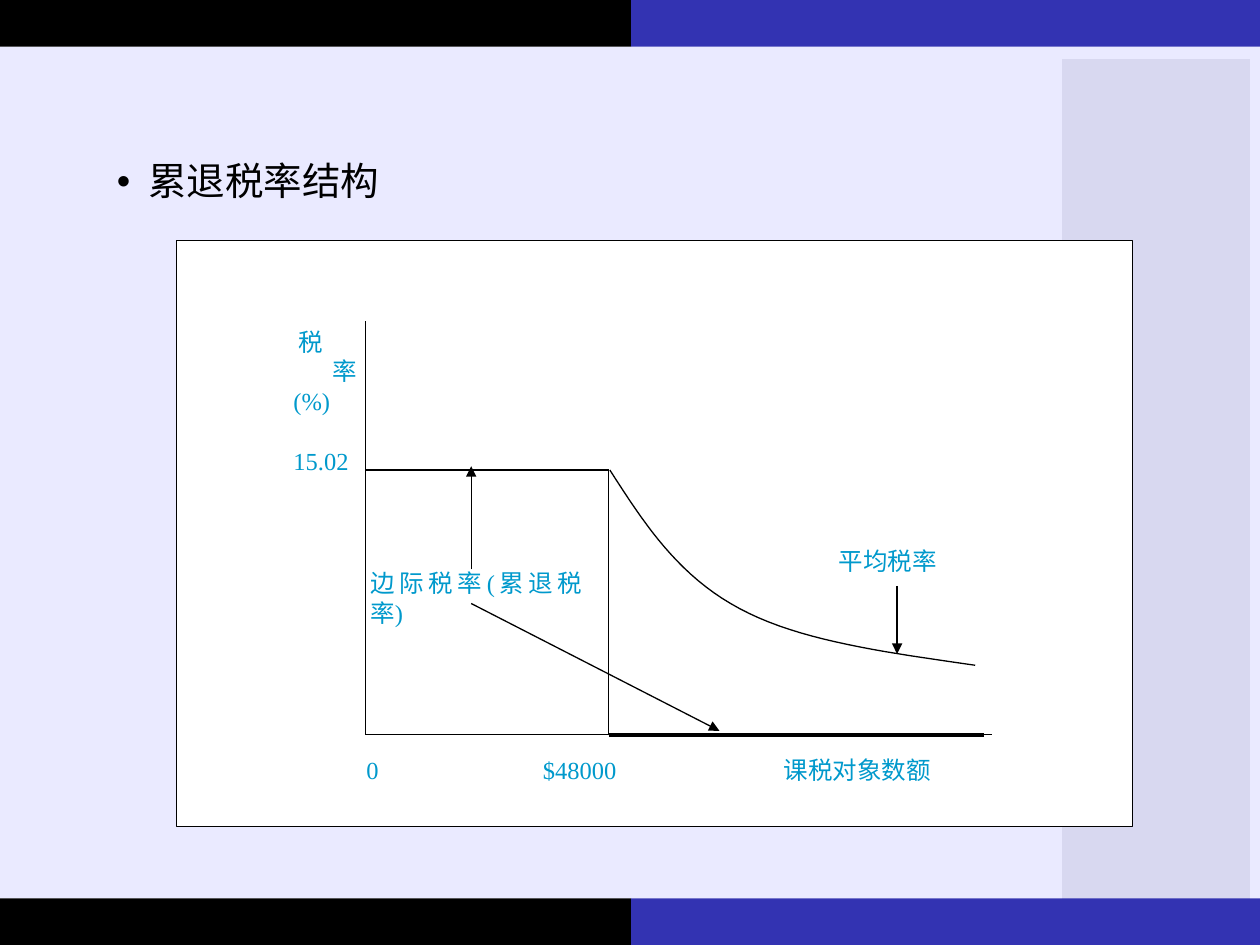
from pptx import Presentation, util as u
from pptx.dml.color import RGBColor
from pptx.enum import shapes, text
from pptx.oxml.ns import qn
from lxml import etree

THEME = {
    "black": "000000", "blue": "3333B2", "pale": "EAEAFF", "shade": "D8D8F0",
    "white": "FFFFFF", "label": "0099CC",
    "latin": "Times New Roman", "cjk": "Noto Sans CJK SC",
    "title_pt": 22, "label_pt": 14, "pitch_pt": 17, "thin": 0.75, "thick": 2.25,
}
WIDTH, HEIGHT = 10, 7.5
BAND, SPLIT = 0.37, 5.01
ORIGIN_X, BASE_Y = 2.9, 5.83
KINK_X, RATE_Y = 4.83, 3.73

PANELS = [
    (0, BAND, WIDTH, HEIGHT - 2 * BAND, "pale", None),
    (8.43, 0.47, 1.49, 6.74, "shade", None),
    *[(x, y, w, BAND, colour, None)
      for y in (0, HEIGHT - BAND)
      for x, w, colour in ((0, SPLIT, "black"), (SPLIT, WIDTH - SPLIT, "blue"))],
    (1.4, 1.91, 7.59, 4.65, "white", "black"),
]
LINES = [
    ((ORIGIN_X, BASE_Y), (7.87, BASE_Y), "thin", False),
    ((ORIGIN_X, BASE_Y), (ORIGIN_X, 2.55), "thin", False),
    ((ORIGIN_X, RATE_Y), (KINK_X, RATE_Y), "thin", False),
    ((KINK_X, RATE_Y), (KINK_X, BASE_Y), "thin", False),
    ((KINK_X, BASE_Y), (7.81, BASE_Y), "thick", False),
    ((3.74, 4.52), (3.74, 3.7), "thin", True),
    ((3.74, 4.79), (5.71, 5.8), "thin", True),
    ((7.12, 4.65), (7.12, 5.19), "thin", True),
]
AVERAGE_RATE = [
    ((4.84, 3.73), (5.11, 4.15), (5.38, 4.57), (5.87, 4.83)),
    ((5.87, 4.83), (6.35, 5.09), (7.05, 5.18), (7.74, 5.28)),
]
TITLE = "累退税率结构"
RATE_AXIS = [("税", 0.04, 0), ("率", 0.31, 0), ("(%)", 0, 0), ("15.02", 0, 17)]
LABELS = [
    ("0", 2.81, 5.94, 0.4), ("$48000", 4.21, 5.94, 0.9),
    ("课税对象数额", 6.12, 5.94, 1.5), ("平均税率", 6.56, 4.28, 1.1),
]
MARGINAL = ("边际税率(累退税率)", 2.84, 4.46, 1.88)


def paint(color_format, name):
    color_format.rgb = RGBColor.from_string(THEME[name])


def add_panel(slide, x, y, w, h, fill, border):
    panel = slide.shapes.add_shape(
        shapes.MSO_SHAPE.RECTANGLE, *map(u.Inches, (x, y, w, h)))
    panel.shadow.inherit = False
    panel.fill.solid()
    paint(panel.fill.fore_color, fill)
    if border:
        paint(panel.line.color, border)
        panel.line.width = u.Pt(THEME["thin"])
    else:
        panel.line.fill.background()


def add_line(slide, start, end, weight, arrow):
    line = slide.shapes.add_connector(
        shapes.MSO_CONNECTOR.STRAIGHT, *map(u.Inches, start + end))
    paint(line.line.color, "black")
    line.line.width = u.Pt(THEME[weight])
    props = line._element.spPr
    if arrow:
        etree.SubElement(props.find(qn("a:ln")), qn("a:tailEnd"), type="triangle")
    etree.SubElement(props, qn("a:effectLst"))


def bezier(points, t):
    weights = ((1 - t) ** 3, 3 * t * (1 - t) ** 2, 3 * t * t * (1 - t), t ** 3)
    return tuple(u.Inches(sum(k * p[axis] for k, p in zip(weights, points)))
                 for axis in (0, 1))


def add_curve(slide, segments, steps=20):
    start = bezier(segments[0], 0)
    points = [bezier(s, i / steps) for s in segments for i in range(1, steps + 1)]
    builder = slide.shapes.build_freeform(*start)
    builder.add_line_segments(points, close=False)
    curve = builder.convert_to_shape()
    curve.shadow.inherit = False
    curve.fill.background()
    paint(curve.line.color, "black")
    curve.line.width = u.Pt(THEME["thin"])


def add_text(slide, paragraphs, x, y, w, h=0.33, size="label_pt", color="label",
             latin="latin", spacing=u.Pt(THEME["pitch_pt"]), wrap=False,
             align=text.PP_ALIGN.LEFT, bullet=False):
    frame = slide.shapes.add_textbox(*map(u.Inches, (x, y, w, h))).text_frame
    frame.word_wrap = wrap
    for i, (words, indent, before) in enumerate(paragraphs):
        para = frame.add_paragraph() if i else frame.paragraphs[0]
        para.alignment, para.line_spacing = align, spacing
        para.space_before = u.Pt(before)
        props = para._p.get_or_add_pPr()
        props.set("marL", str(u.Inches(indent)))
        if bullet:
            props.set("indent", str(-u.Inches(indent)))
            etree.SubElement(props, qn("a:buFont"), typeface="Arial")
            etree.SubElement(props, qn("a:buChar"), char="•")
        run = para.add_run()
        run.text = words
        run.font.size, run.font.name = u.Pt(THEME[size]), THEME[latin]
        paint(run.font.color, color)
        etree.SubElement(run._r.get_or_add_rPr(), qn("a:ea"), typeface=THEME["cjk"])


def main():
    deck = Presentation()
    deck.slide_width, deck.slide_height = u.Inches(WIDTH), u.Inches(HEIGHT)
    slide = deck.slides.add_slide(deck.slide_layouts[6])
    for panel in PANELS:
        add_panel(slide, *panel)
    add_text(slide, [(TITLE, 0.25, 0)], 0.83, 1.24, 7.52, 0.5, size="title_pt",
             color="black", latin="cjk", spacing=0.9, wrap=True, bullet=True)
    for line in LINES:
        add_line(slide, *line)
    add_curve(slide, AVERAGE_RATE)
    add_text(slide, RATE_AXIS, 2.23, 2.54, 0.75, 1.28)
    for words, x, y, w in LABELS:
        add_text(slide, [(words, 0, 0)], x, y, w)
    words, *place = MARGINAL
    add_text(slide, [(words, 0, 0)], *place, h=0.57, wrap=True,
             align=text.PP_ALIGN.JUSTIFY)
    deck.save("out.pptx")


if __name__ == "__main__":
    main()
